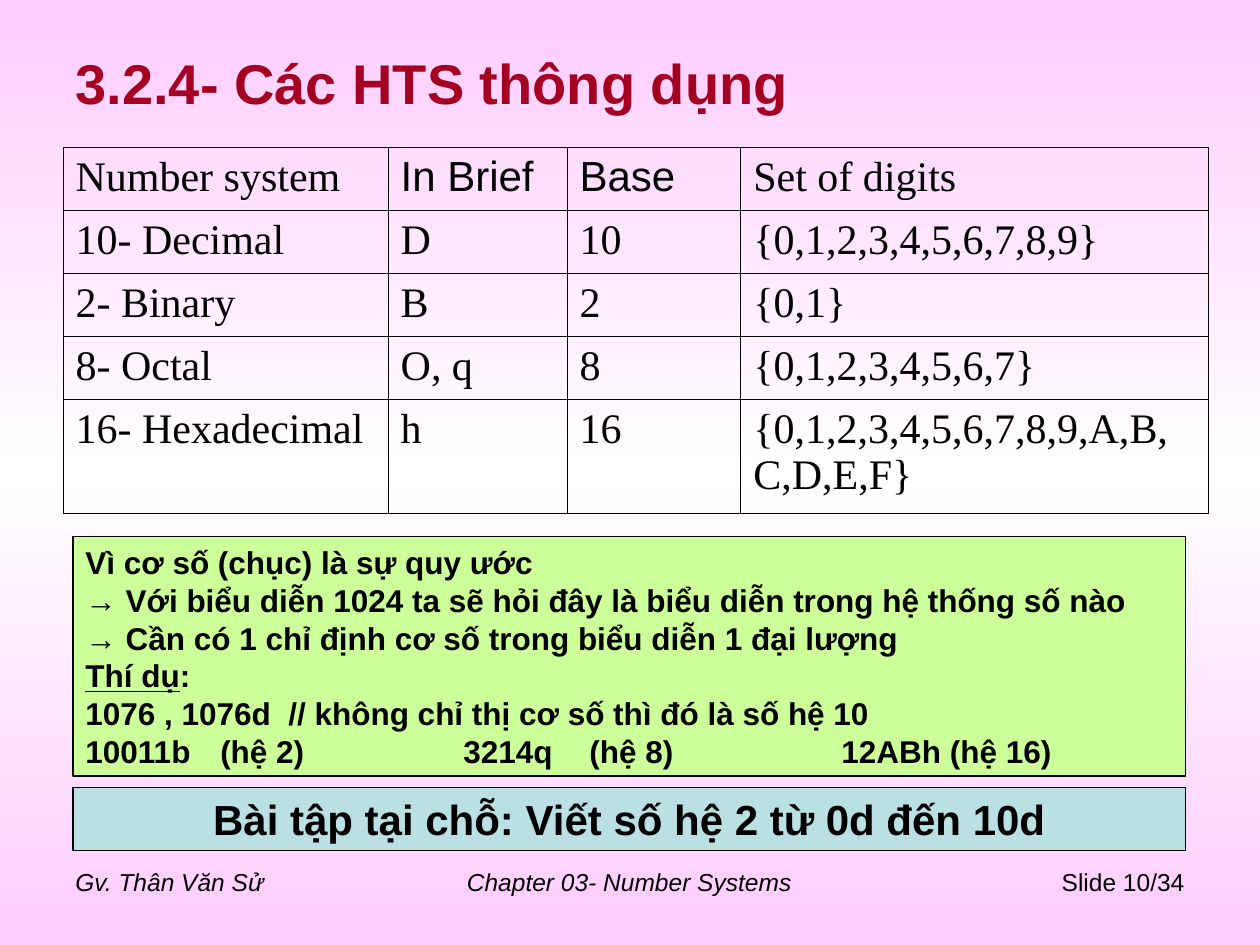
import copy

import pptx
import pptx.dml.color
import pptx.enum.text
import pptx.oxml
import pptx.oxml.ns
import pptx.util
from lxml import etree

Inches, Pt = pptx.util.Inches, pptx.util.Pt
RGBColor = pptx.dml.color.RGBColor
ALIGN = pptx.enum.text.PP_ALIGN
ANCHOR = pptx.enum.text.MSO_ANCHOR
qn = pptx.oxml.ns.qn

BLACK = RGBColor(0x00, 0x00, 0x00)
WHITE = RGBColor(0xFF, 0xFF, 0xFF)
PINK = RGBColor(0xFF, 0xCC, 0xFF)
CRIMSON = RGBColor(0xA5, 0x00, 0x21)
GREEN = RGBColor(0xCC, 0xFF, 0x99)
TEAL = RGBColor(0xBB, 0xE0, 0xE3)

TITLE = "3.2.4- Các HTS thông dụng"
SYSTEMS = [
    ("Number system", "In Brief", "Base", "Set of digits"),
    ("10- Decimal", "D", "10", "{0,1,2,3,4,5,6,7,8,9}"),
    ("2- Binary", "B", "2", "{0,1}"),
    ("8- Octal", "O, q", "8", "{0,1,2,3,4,5,6,7}"),
    ("16- Hexadecimal", "h", "16", "{0,1,2,3,4,5,6,7,8,9,A,B,C,D,E,F}"),
]
ARIAL_HEADERS = ("In Brief", "Base")
COL_WIDTHS = (2.58, 1.42, 1.38, 3.71)
ROW_HEIGHTS = (0.5, 0.5, 0.5, 0.5, 0.9)

# Each paragraph is a list of (text, underlined) runs.
NOTES = [
    [("Vì cơ số (chục) là sự quy ước", False)],
    [("→ Với biểu diễn 1024 ta sẽ hỏi đây là biểu diễn trong hệ thống số nào", False)],
    [("→ Cần có 1 chỉ định cơ số trong biểu diễn 1 đại lượng", False)],
    [("Thí dụ", True), (":", False)],
    [("1076 , 1076d  // không chỉ thị cơ số thì đó là số hệ 10", False)],
    [("10011b\t(hệ 2)\t3214q\t(hệ 8)\t12ABh (hệ 16)", False)],
]
EXAMPLE_TABS = (1.07, 3, 4, 6)
EXERCISE = [[("Bài tập tại chỗ: Viết số hệ 2 từ 0d đến 10d", False)]]
FOOTERS = [  # text, left, width, alignment, italic
    ("Gv. Thân Văn Sử", 0.5, 2.33, ALIGN.LEFT, True),
    ("Chapter 03- Number Systems", 3.08, 3.83, ALIGN.CENTER, True),
    ("Slide 10/34", 7.17, 2.33, ALIGN.RIGHT, False),
]


def style(p, size, name="Arial", color=BLACK, bold=False, italic=False,
          align=ALIGN.LEFT):
    p.alignment = align
    f = p.font
    f.size, f.name, f.bold, f.italic = Pt(size), name, bold, italic
    f.color.rgb = color


def add_tabs(p, stops):
    tabs = etree.SubElement(p._p.get_or_add_pPr(), qn("a:tabLst"))
    for stop in stops:
        etree.SubElement(tabs, qn("a:tab"), pos=str(Inches(stop)), algn="l")


def add_borders(cell, width):
    tc_pr = cell._tc.get_or_add_tcPr()
    for side in ("lnL", "lnR", "lnT", "lnB"):
        ln = etree.SubElement(tc_pr, qn("a:" + side), w=str(Pt(width)))
        fill = etree.SubElement(ln, qn("a:solidFill"))
        etree.SubElement(fill, qn("a:srgbClr"), val=str(BLACK))


def add_panel(s, top, height, fill, paragraphs, size, align, tabs=()):
    """Add an outlined box of bold text; tabs apply to its last paragraph."""
    sp = s.shapes.add_shape(pptx.enum.shapes.MSO_SHAPE.RECTANGLE, Inches(0.58),
                            Inches(top), Inches(8.83), Inches(height))
    sp.shadow.inherit = False
    sp.fill.solid()
    sp.fill.fore_color.rgb = fill
    sp.line.color.rgb = BLACK
    sp.line.width = Pt(0.75)
    tf = sp.text_frame
    tf.word_wrap = True
    tf.vertical_anchor = ANCHOR.MIDDLE
    for i, runs in enumerate(paragraphs):
        p = tf.add_paragraph() if i else tf.paragraphs[0]
        for text, underlined in runs:
            r = p.add_run()
            r.text = text
            if underlined:
                r.font.underline = True
        if tabs and i == len(paragraphs) - 1:
            add_tabs(p, tabs)
        style(p, size, bold=True, align=align)


def add_background(s):
    fill = s.background.fill
    fill.gradient()
    fill.gradient_angle = 90
    stop_list = s._element.find(".//" + qn("a:gsLst"))
    stop_list.append(copy.deepcopy(stop_list[-1]))
    for stop, color, position in zip(fill.gradient_stops, (PINK, WHITE, PINK),
                                     (0, 0.5, 1)):
        stop.color.rgb = color
        stop.position = position


def add_systems_table(s):
    table = s.shapes.add_table(len(SYSTEMS), len(COL_WIDTHS), Inches(0.5),
                               Inches(1.17), Inches(sum(COL_WIDTHS)),
                               Inches(sum(ROW_HEIGHTS))).table
    table.first_row = table.horz_banding = False
    for column, width in zip(table.columns, COL_WIDTHS):
        column.width = Inches(width)
    for row, height, texts in zip(table.rows, ROW_HEIGHTS, SYSTEMS):
        row.height = Inches(height)
        for cell, text in zip(row.cells, texts):
            cell.text = text
            name = "Arial" if text in ARIAL_HEADERS else "Times New Roman"
            style(cell.text_frame.paragraphs[0], 24, name)
            add_borders(cell, 0.45)
            cell.fill.background()


def main():
    prs = pptx.Presentation()
    prs.slide_width, prs.slide_height = Inches(10), Inches(7.5)
    s = prs.slides.add_slide(prs.slide_layouts[5])
    add_background(s)

    for text, left, width, align, italic in FOOTERS:
        tf = s.shapes.add_textbox(Inches(left), Inches(6.83), Inches(width),
                                  Inches(0.52)).text_frame
        tf.word_wrap = True
        tf.text = text
        style(tf.paragraphs[0], 14, italic=italic, align=align)

    title = s.shapes.title
    title.left, title.top = Inches(0.5), Inches(0.3)
    title.width, title.height = Inches(9), Inches(0.7)
    tf = title.text_frame
    tf.text = TITLE
    tf.auto_size = pptx.enum.text.MSO_AUTO_SIZE.NONE
    tf.vertical_anchor = ANCHOR.MIDDLE
    style(tf.paragraphs[0], 32, color=CRIMSON, bold=True)

    add_systems_table(s)
    add_panel(s, 4.26, 1.9, GREEN, NOTES, 18, ALIGN.LEFT, EXAMPLE_TABS)
    add_panel(s, 6.25, 0.5, TEAL, EXERCISE, 24, ALIGN.CENTER)
    prs.save("out.pptx")


if __name__ == "__main__":
    main()
